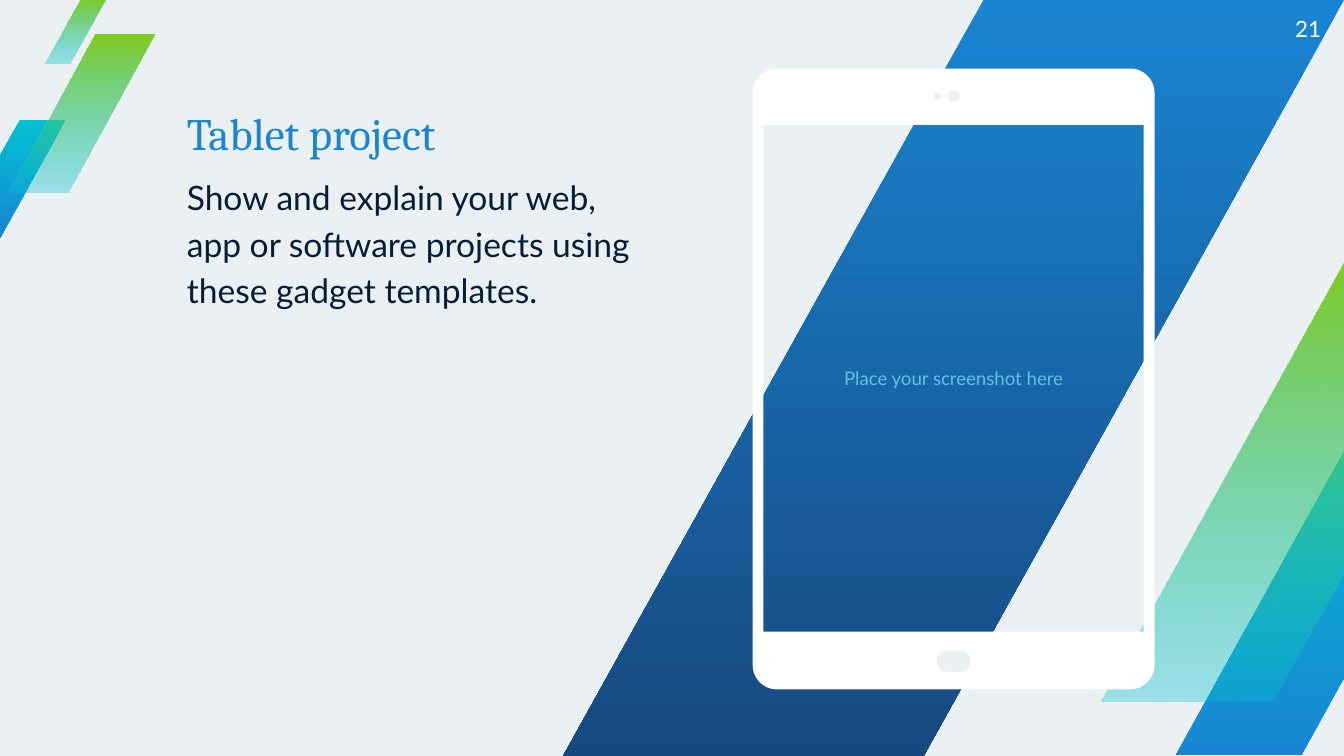
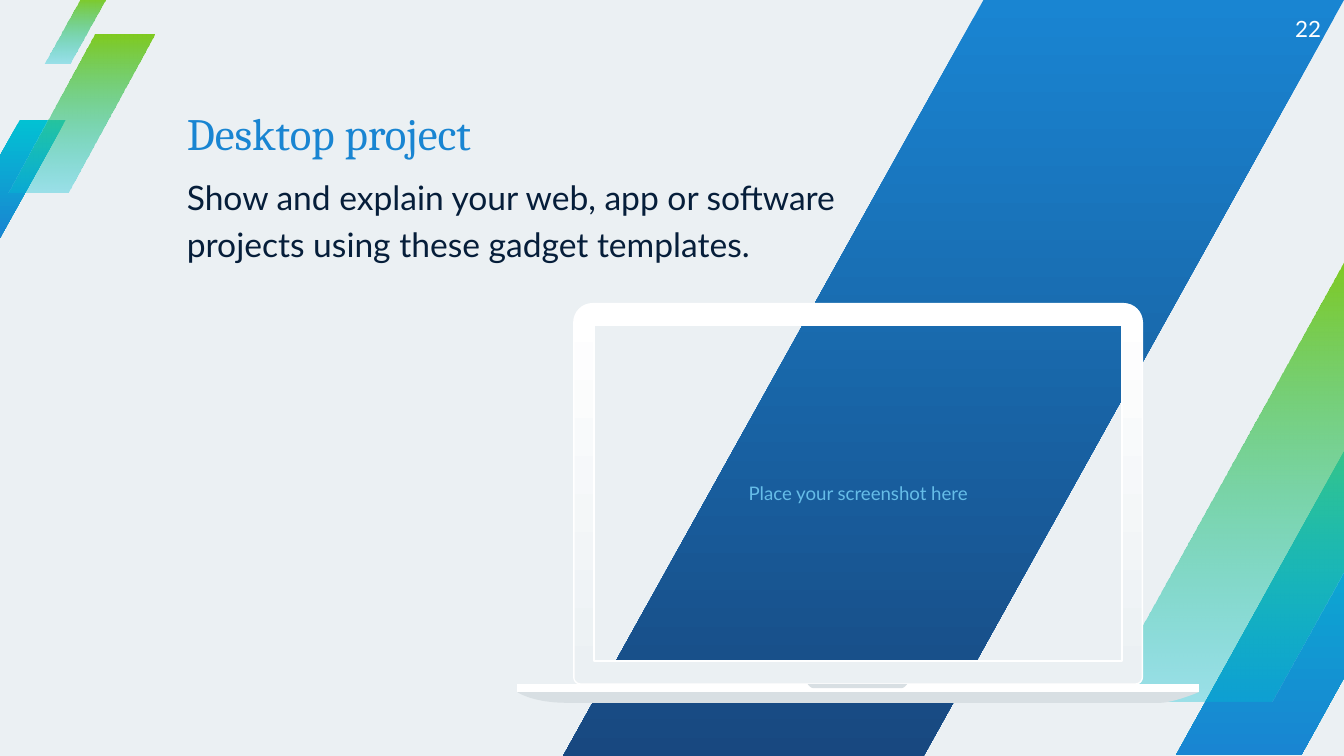
from dataclasses import dataclass

import pptx
import pptx.dml.color
import pptx.enum.shapes
import pptx.enum.text
import pptx.oxml
import pptx.oxml.ns
import pptx.util
from pptx.util import Inches

WIDTH = 10
HEIGHT = WIDTH * 9 / 16
CURVE_STEPS = 8
CORNER_PULL = 0.45
PITCH = "Show and explain your web, app or software projects using these gadget templates."
PROMPT = "Place your screenshot here"


@dataclass(frozen=True)
class Theme:
    paper: str = "EBF0F3"
    white: str = "FFFFFF"
    edge: str = "D8DFE3"
    blue: str = "1985D2"
    navy: str = "184880"
    cyan: str = "02C1D3"
    green: str = "7FCA20"
    ink: str = "061E3A"
    sky: str = "66BDE8"
    title_font: str = "Cambria"
    body_font: str = "Lato"
    title_size: int = 24
    body_size: int = 18
    number_size: int = 12
    prompt_size: int = 10
    fade: int = 34


def rgb(value):
    return pptx.dml.color.RGBColor.from_string(value)


def outline(start, *segments):
    points = [start]
    for segment in segments:
        if len(segment) == 2:
            points.append(segment)
            continue
        x0, y0 = points[-1]
        x1, y1, x2, y2, x3, y3 = segment
        for step in range(1, CURVE_STEPS + 1):
            t = step / CURVE_STEPS
            u = 1 - t
            a, b, c, d = u ** 3, 3 * u * u * t, 3 * u * t * t, t ** 3
            points.append((a * x0 + b * x1 + c * x2 + d * x3,
                           a * y0 + b * y1 + c * y2 + d * y3))
    return points


def rounded(left, top, width, height, top_radius, bottom_radius=None):
    a = top_radius
    b = a if bottom_radius is None else bottom_radius
    right, bottom = left + width, top + height
    p, q = a * CORNER_PULL, b * CORNER_PULL
    return outline(
        (left + a, top),
        (right - a, top),
        (right - p, top, right, top + p, right, top + a),
        (right, bottom - b),
        (right, bottom - q, right - q, bottom, right - b, bottom),
        (left + b, bottom),
        (left + q, bottom, left, bottom - q, left, bottom - b),
        (left, top + a),
        (left, top + p, left + p, top, left + a, top))


def rectangle(left, top, width, height):
    right, bottom = left + width, top + height
    return [(left, top), (right, top), (right, bottom), (left, bottom)]


class Deck:
    def __init__(self, theme):
        self.theme = theme
        self.prs = pptx.Presentation()
        self.prs.slide_width = Inches(WIDTH)
        self.prs.slide_height = Inches(HEIGHT)
        fill = self.prs.slide_master.background.fill
        fill.solid()
        fill.fore_color.rgb = rgb(theme.paper)
        self.s = None

    def slide(self, number, title, text, box):
        self.s = self.prs.slides.add_slide(self.prs.slide_layouts[1])
        heading = self.s.shapes.title._element
        heading.getparent().remove(heading)
        self.backdrop()
        self.body(title, text, box)
        self.number(number)

    def backdrop(self):
        t = self.theme
        water, leaf = (t.cyan, t.blue), (t.green, t.cyan, t.fade)
        for box, colours in (
                ((-0.34, 0.89, 0.83, 0.88), water),
                ((0.06, 0.26, 1.09, 1.17), leaf),
                ((0.33, -0.02, 0.46, 0.49), leaf),
                ((8.75, 3.2, 2.27, 2.42), water),
                ((8.19, 1.92, 3.1, 3.3), leaf)):
            self.stripe(box, 0.59, colours)
        self.stripe((4.19, 0, 5.81, HEIGHT), 0.556, (t.blue, t.navy))

    def stripe(self, box, slant, colours):
        sp = self.s.shapes.add_shape(
            pptx.enum.shapes.MSO_SHAPE.PARALLELOGRAM, *map(Inches, box))
        sp.adjustments[0] = slant
        self.paint(sp, colours)

    def paint(self, sp, colours, line=None):
        sp.shadow.inherit = False
        if line:
            sp.line.color.rgb = rgb(line)
            sp.line.width = pptx.util.Pt(0.75)
        else:
            sp.line.fill.background()
        if isinstance(colours, str):
            sp.fill.solid()
            sp.fill.fore_color.rgb = rgb(colours)
            return
        first, last, *opacity = colours
        sp.fill.gradient()
        sp.fill.gradient_angle = 270
        for stop, colour in zip(sp.fill.gradient_stops, (first, last)):
            stop.color.rgb = rgb(colour)
        if opacity:
            end = sp._element.spPr.findall(".//" + pptx.oxml.ns.qn("a:srgbClr"))[1]
            end.append(pptx.oxml.parse_xml(
                f'<a:alpha {pptx.oxml.ns.nsdecls("a")} val="{opacity[0] * 1000}"/>'))

    def free(self, colours, *contours, line=None):
        builder = None
        for contour in contours:
            points = [(Inches(x), Inches(y)) for x, y in contour]
            if builder is None:
                builder = self.s.shapes.build_freeform(*points[0])
            else:
                builder.move_to(*points[0])
            builder.add_line_segments(points[1:], close=True)
        self.paint(builder.convert_to_shape(), colours, line)

    def style(self, p, font, size, colour):
        for r in p.runs:
            r.font.name = font
            r.font.size = pptx.util.Pt(size)
            r.font.color.rgb = rgb(colour)

    def frame(self, sp, margin, anchor):
        tf = sp.text_frame
        tf.word_wrap = True
        tf.auto_size = pptx.enum.text.MSO_AUTO_SIZE.NONE
        tf.vertical_anchor = anchor
        tf.margin_left = tf.margin_right = Inches(margin)
        tf.margin_top = tf.margin_bottom = Inches(margin)
        return tf

    def body(self, title, text, box):
        t = self.theme
        sp = self.s.placeholders[1]
        sp.left, sp.top, sp.width, sp.height = map(Inches, box)
        self.s.shapes._spTree.append(sp._element)
        tf = self.frame(sp, 0, pptx.enum.text.MSO_ANCHOR.TOP)
        tf.text = f"{title}\n{text}"
        for p in tf.paragraphs:
            p.line_spacing = 1.15
            p.space_before = pptx.util.Pt(6)
            pPr = p._p.get_or_add_pPr()
            pPr.set("marL", "0")
            pPr.set("indent", "0")
            pPr.append(pptx.oxml.parse_xml(f'<a:buNone {pptx.oxml.ns.nsdecls("a")}/>'))
        self.style(tf.paragraphs[0], t.title_font, t.title_size, t.blue)
        self.style(tf.paragraphs[1], t.body_font, t.body_size, t.ink)

    def label(self, text, box, margin, align, size, colour):
        sp = self.s.shapes.add_textbox(*map(Inches, box))
        tf = self.frame(sp, margin, pptx.enum.text.MSO_ANCHOR.MIDDLE)
        tf.text = text
        p = tf.paragraphs[0]
        p.alignment = align
        self.style(p, self.theme.body_font, size, colour)

    def number(self, value):
        self.label(str(value), (9.36, 0, 0.47, 0.43), 0, pptx.enum.text.PP_ALIGN.RIGHT,
                   self.theme.number_size, self.theme.white)

    def prompt(self, box):
        self.label(PROMPT, box, 0.1, pptx.enum.text.PP_ALIGN.CENTER,
                   self.theme.prompt_size, self.theme.sky)

    def tablet(self):
        t = self.theme
        screen = (5.68, 0.93, 2.83, 3.77)
        self.prompt(screen)
        self.free(t.white, rounded(5.6, 0.51, 2.99, 4.62, 0.18), rectangle(*screen)[::-1])
        for left, top, width, height in (
                (6.97, 4.84, 0.25, 0.16), (6.95, 0.69, 0.05, 0.05), (7.05, 0.67, 0.09, 0.09)):
            self.free(t.paper, rounded(left, top, width, height, height / 2))

    def laptop(self):
        t = self.theme
        screen = (4.42, 2.42, 3.93, 2.5)
        self.prompt(screen)
        self.free((t.white, t.paper), rounded(4.27, 2.26, 4.23, 2.83, 0.14, 0.05),
                  rectangle(*screen)[::-1], line=t.white)
        self.free(t.edge, outline(
            (3.85, 5.15), (3.85, 5.15, 3.96, 5.23, 4.22, 5.23),
            (8.63, 5.23), (8.73, 5.23, 8.92, 5.15, 8.92, 5.15)))
        self.free(t.white, rectangle(3.85, 5.09, 5.07, 0.06))
        self.free(t.edge, outline(
            (6.01, 5.09), (6.01, 5.09, 6.03, 5.12, 6.05, 5.12),
            (6.71, 5.12), (6.73, 5.12, 6.75, 5.09, 6.75, 5.09)))


def main():
    deck = Deck(Theme())
    deck.slide(21, "Tablet project", PITCH, (1.39, 0.73, 3.33, 1.83))
    deck.tablet()
    deck.slide(22, "Desktop project", PITCH, (1.39, 0.73, 5.14, 1.35))
    deck.laptop()
    deck.prs.save("out.pptx")


if __name__ == "__main__":
    main()
